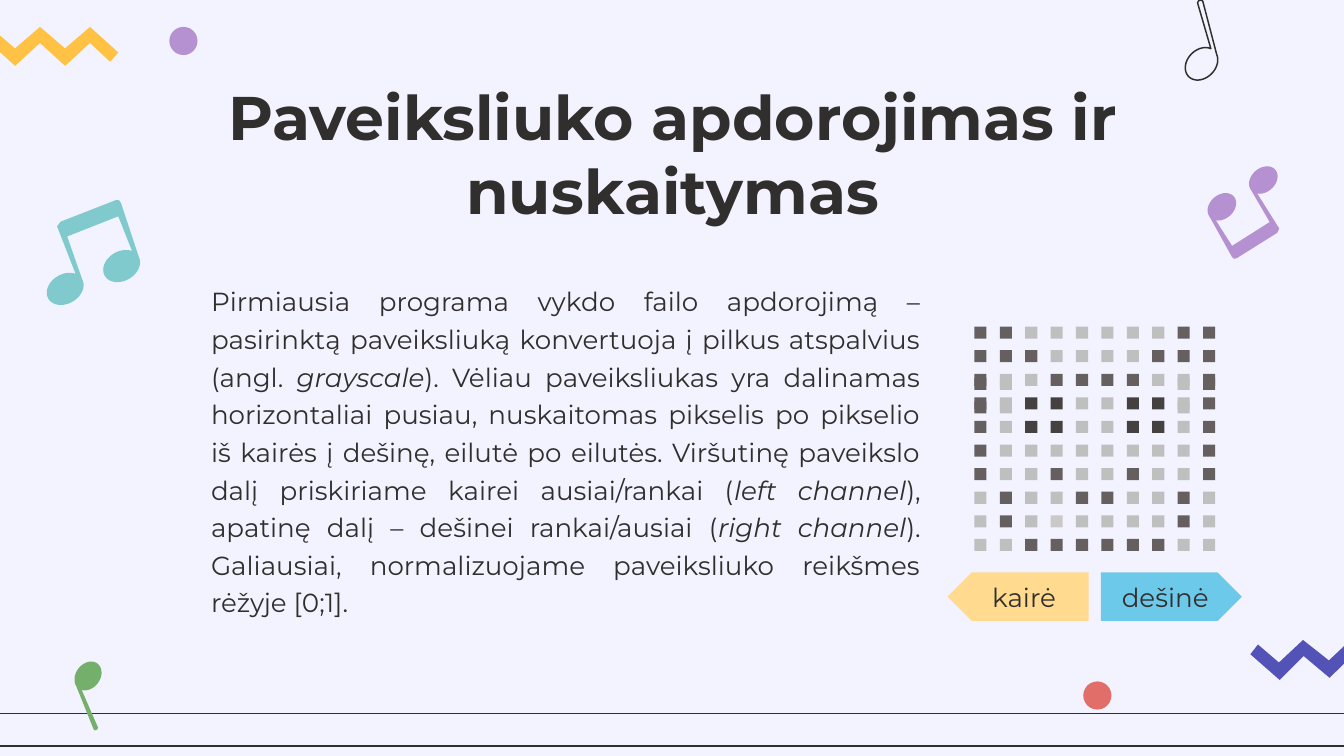
from math import cos, radians, sin

from pptx import Presentation
from pptx.dml.color import RGBColor
from pptx.enum.shapes import MSO_CONNECTOR as Link, MSO_SHAPE as Shape
from pptx.enum.text import MSO_ANCHOR as Anchor, MSO_AUTO_SIZE as Fit, PP_ALIGN as Align
from pptx.oxml.ns import qn
from pptx.util import Pt
from lxml.etree import SubElement

PX = 9144  # 100 px to the inch
FONT = "Montserrat"
HEX = {
    "paper": "F3F3FF", "ink": "312E2E", "lilac": "B691D1", "amber": "FFC245",
    "indigo": "5353B7", "green": "75AF6C", "coral": "E26E69", "teal": "80CACE",
    "sky": "6CC9EA", "sand": "FFDA8F",
    "dark": "655F5F", "eye": "464141", "light": "BFBFBF", "pale": "CDC8C8",
}

# Content: (text, italic) runs
TITLE = [("Paveiksliuko apdorojimas ir nuskaitymas", False)]
BODY = [
    ("Pirmiausia programa vykdo failo apdorojimą – pasirinktą paveiksliuką "
     "konvertuoja į pilkus atspalvius (angl. ", False),
    ("grayscale", True),
    ("). Vėliau paveiksliukas yra dalinamas horizontaliai pusiau, nuskaitomas "
     "pikselis po pikselio iš kairės į dešinę, eilutė po eilutės. Viršutinę "
     "paveikslo dalį priskiriame kairei ausiai/rankai (", False),
    ("left channel", True),
    ("), apatinę dalį – dešinei rankai/ausiai (", False),
    ("right channel", True),
    ("). Galiausiai, normalizuojame paveiksliuko reikšmes rėžyje [0;1].", False),
]
TAGS = [("dešinė", 819, "sky", False), ("kairė", 705, "sand", True)]  # text, x, fill, flip

# Pixel face, one letter per square
FACE = [
    "##......##",
    "###....###",
    "#..####..#",
    "#.@@..@@.#",
    "#.@@..@@.#",
    "#........#",
    "#..#..#..#",
    ".#..##..#.",
    ".#.o....#.",
    "..######..",
]
TONE = {"#": "dark", "@": "eye", ".": "light", "o": "pale"}
TALL = {2: (0, 1, 8, 9), 3: (0, 1, 8)}  # row: columns with a second, lower square

# Decoration: figure, centre, scale, turn in degrees, fill
RULES = [531, 555]
DOTS = [(126, 20, "lilac"), (806, 507, "coral")]
SIGNS = [
    ("wave", 20.5 + 34.5j, 1, 0, "amber"),
    ("wave", 998 + 489.5j, 1, -2.4, "indigo"),
    ("note", 65.5 + 503j, 0.86, 172.7, "green"),
    ("note", 894 + 47.5j, 1, 0, None),
    ("pair", 48.5 + 215j, 1, 0, "teal"),
    ("pair", 940 + 134j, 0.81, 169.2, "lilac"),
]


def px(*nums):
    return [round(n * PX) for n in nums]


def tint(name):
    return RGBColor.from_string(HEX[name])


def unit(deg):
    return complex(cos(radians(deg)), sin(radians(deg)))


def head(mid, wide, high, tilt):
    """Note head: a tilted oval, left open where the stem joins it."""
    turns = [-62 - tilt - 326 * i / 40 for i in range(41)]
    return [mid + unit(tilt) * complex(wide * unit(a).real, high * unit(a).imag)
            for a in turns]


def wave():
    """Six bends of a zigzag band, centred on zero."""
    xs = [-46.5 + 18.6 * i for i in range(6)]
    top = [complex(x, (1.5, -14.5)[i % 2]) for i, x in enumerate(xs)]
    low = [complex(x, (14.5, -2.5)[i % 2]) for i, x in enumerate(xs)]
    return [-61.5 - 12.5j, *top, 67.5 + 4.5j, 61.5 + 11.5j, *low[::-1], -67.5 - 5.5j]


def note():
    return [-2 - 47j, -3 - 45.5j, *head(0, 13.5, 10.5, -45), 1 - 46.5j, 0 - 47.5j]


def pair():
    oval = (14.5, 11, -30)
    return [-3.5 - 50j, -6 - 46.5j, *head(0, *oval), 1.5 - 39j, 39.5 - 54j,
            *head(42 - 17j, *oval), 41.5 - 64j, 40 - 66j, 37.5 - 66j]


FORMS = {"wave": wave(), "note": note(), "pair": pair()}


def paint(shape, name):
    """Flat fill without line, or a thin ink line when there is no fill."""
    shape.shadow.inherit = False
    if name:
        shape.fill.solid()
        shape.fill.fore_color.rgb = tint(name)
        shape.line.fill.background()
    else:
        shape.fill.background()
        shape.line.color.rgb = tint("ink")
        shape.line.width = Pt(0.78)
    return shape


def write(shape, runs, size, align, anchor=Anchor.TOP, bold=False):
    frame = shape.text_frame
    frame.word_wrap, frame.auto_size = True, Fit.NONE
    frame.vertical_anchor = anchor
    frame.margin_left = frame.margin_right = frame.margin_top = frame.margin_bottom = 10 * PX
    para = frame.paragraphs[0]
    para.alignment, para.space_before = align, Pt(0)
    for text, slant in runs:
        run = para.add_run()
        run.text = text
        font = run.font
        font.name, font.size, font.bold, font.italic = FONT, Pt(size), bold, slant
        font.color.rgb = tint("ink")
    return para


def place(shape, *box):
    shape.left, shape.top, shape.width, shape.height = px(*box)
    return shape


deck = Presentation()
deck.slide_width, deck.slide_height = px(1000, 562.5)
slide = deck.slides.add_slide(deck.slide_layouts[0])
slide.background.fill.solid()
slide.background.fill.fore_color.rgb = tint("paper")
shapes = slide.shapes

# Rules, dots, waves and notes
for y in RULES:
    rule = shapes.add_connector(Link.STRAIGHT, *px(-1, y, 1001, y))
    rule.line.color.rgb, rule.line.width = tint("ink"), Pt(0.75)
    SubElement(rule._element.spPr, qn("a:effectLst"))
for x, y, name in DOTS:
    paint(shapes.add_shape(Shape.OVAL, *px(x, y, 21, 21)), name)
for form, mid, scale, turn, name in SIGNS:
    spots = [mid + scale * unit(turn) * p for p in FORMS[form]]
    pts = [px(p.real, p.imag) for p in spots]
    pen = shapes.build_freeform(*pts[0])
    pen.add_line_segments(pts[1:], close=True)
    paint(pen.convert_to_shape(), name)

# Title and body
write(place(shapes.title, 79, 49, 843, 120), TITLE, 33, Align.CENTER, bold=True)
para = write(place(slide.placeholders[1], 147, 198, 548, 264), BODY, 14, Align.JUSTIFY)
para.line_spacing, para.space_after = 1.2, Pt(3)

# Pixel face
face = shapes.add_group_shape().shapes
for r, row in enumerate(FACE):
    for c, mark in enumerate(row):
        for drop in (0, 3) if c in TALL.get(r, ()) else (0,):
            box = px(725 + 18.9 * c, 243 + 17.55 * r + drop, 9, 9)
            paint(face.add_shape(Shape.RECTANGLE, *box), TONE[mark])

# Direction tags
for text, x, name, flip in TAGS:
    tag = paint(shapes.add_shape(Shape.PENTAGON, *px(x, 426, 105, 36)), name)
    tag.adjustments[0] = 0.5
    if flip:
        tag._element.spPr.find(qn("a:xfrm")).set("flipH", "1")
    write(tag, [(text, False)], 14, Align.CENTER, Anchor.MIDDLE)

deck.save("out.pptx")
